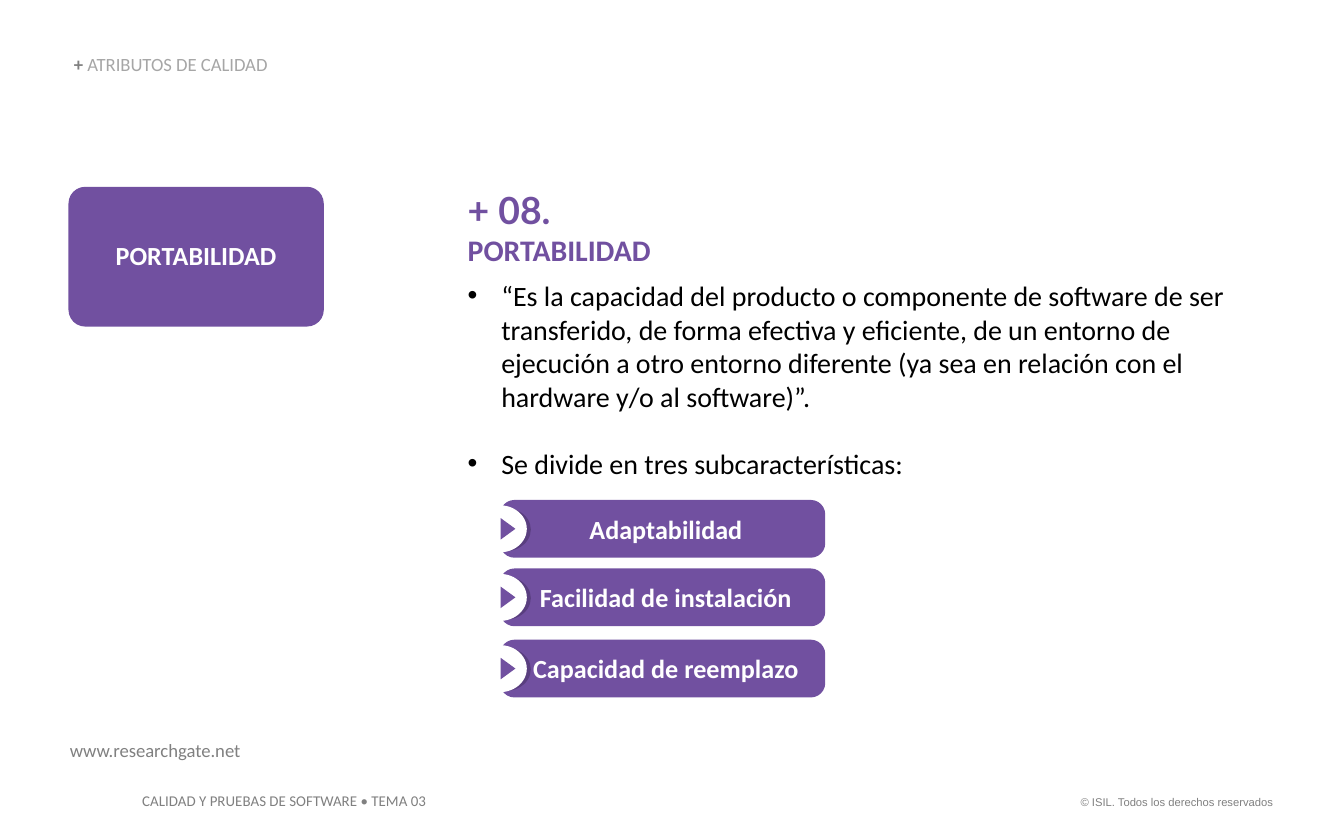
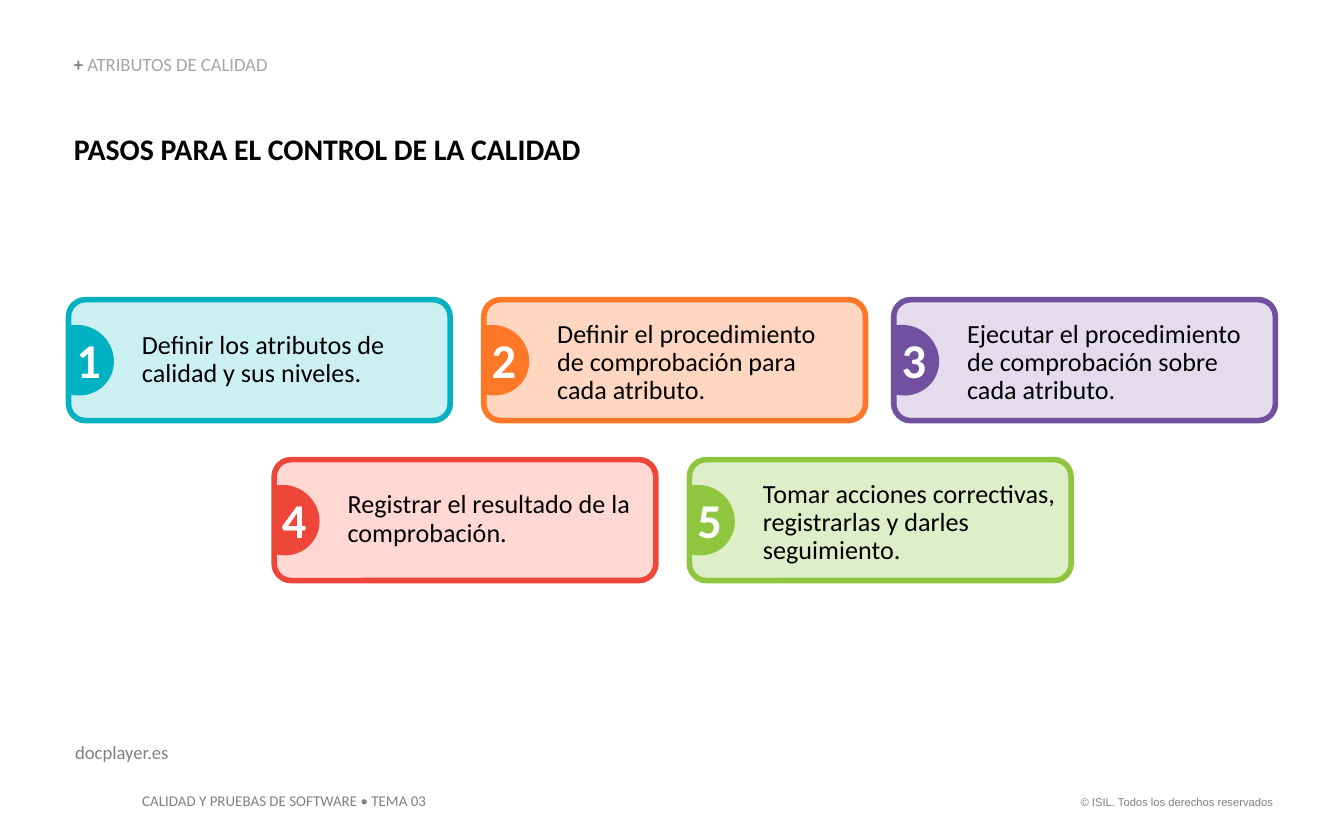
"""Builds two slides on software portability and the steps of quality control."""
from dataclasses import dataclass
from typing import Any, Optional

from lxml.etree import SubElement
from pptx import Presentation
from pptx.dml.color import RGBColor
from pptx.enum.shapes import MSO_SHAPE
from pptx.enum.text import MSO_ANCHOR, MSO_AUTO_SIZE, PP_ALIGN
from pptx.oxml.ns import qn
from pptx.util import Pt

SCALE = 9144
ROUND, OVAL = MSO_SHAPE.ROUNDED_RECTANGLE, MSO_SHAPE.OVAL
WEDGE, CHORD = MSO_SHAPE.ISOSCELES_TRIANGLE, MSO_SHAPE.CHORD
TOP, MIDDLE, BOTTOM = MSO_ANCHOR.TOP, MSO_ANCHOR.MIDDLE, MSO_ANCHOR.BOTTOM
LEFT, CENTER, RIGHT = PP_ALIGN.LEFT, PP_ALIGN.CENTER, PP_ALIGN.RIGHT
FIT = MSO_AUTO_SIZE.SHAPE_TO_FIT_TEXT


@dataclass(frozen=True)
class Theme:
    font: str = "Calibri"
    accent: str = "Lato"
    legal: str = "Arial"
    white: str = "FFFFFF"
    black: str = "000000"
    gray: str = "808080"
    pale: str = "A6A6A6"
    purple: str = "7150A0"
    shade: str = "593E7F"
    tiny: int = 6
    foot: int = 8
    small: int = 10
    label: int = 14
    body: int = 15
    title: int = 16
    head: int = 20
    digit: int = 26


@dataclass(frozen=True)
class Box:
    x: int
    y: int
    w: int
    h: int


@dataclass(frozen=True)
class Pill:
    y: int
    text: str


@dataclass(frozen=True)
class Card:
    x: int
    y: int
    pad: int
    fill: str
    edge: str
    text: str


LOOK = Theme()
NONE = (0, 0, 0, 0)
INSET = (10, 5, 10, 5)

PILLS = (
    Pill(372, "Adaptabilidad"),
    Pill(423, "Facilidad de instalación"),
    Pill(476, "Capacidad de reemplazo"),
)

CARDS = (
    Card(51, 223, 20, "CCEFF2", "00B1C2", "Definir los atributos de calidad y sus niveles."),
    Card(360, 223, 12, "FFD7C1", "FE7828",
         "Definir el procedimiento\nde comprobación para\ncada atributo."),
    Card(665, 223, 12, "E3DCED", LOOK.purple,
         "Ejecutar el procedimiento de comprobación sobre cada atributo."),
    Card(204, 342, 20, "FFD8D4", "EE4639", "Registrar el resultado de la comprobación."),
    Card(513, 342, 12, "DDEEC8", "8FC53F",
         "Tomar acciones correctivas, registrarlas y darles seguimiento."),
)


def px(count: int) -> int:
    """Turn px into EMU."""
    return count * SCALE


def rgb(code: str) -> RGBColor:
    """Turn a hex code into a colour."""
    return RGBColor.from_string(code)


def setup(item: Any, pad: tuple, anchor: Any, wrap: bool = True) -> None:
    """Set the insets, anchor and wrapping of a text frame."""
    frame = item.text_frame
    frame.margin_left, frame.margin_top, frame.margin_right, frame.margin_bottom = map(px, pad)
    frame.vertical_anchor = anchor
    frame.word_wrap = wrap


def note(shapes: Any, box: Box, pad: tuple = NONE, anchor: Any = TOP, wrap: bool = True) -> Any:
    """Add an empty text box that grows with its text."""
    item = shapes.add_textbox(px(box.x), px(box.y), px(box.w), px(box.h))
    setup(item, pad, anchor, wrap)
    item.text_frame.auto_size = FIT
    return item


def form(shapes: Any, kind: Any, box: Box, fill: str, edge: Optional[str] = None,
         turn: int = 0, adjust: tuple = ()) -> Any:
    """Add a flat preset shape."""
    item = shapes.add_shape(kind, px(box.x), px(box.y), px(box.w), px(box.h))
    item.shadow.inherit = False
    item.fill.solid()
    item.fill.fore_color.rgb = rgb(fill)
    if edge:
        item.line.color.rgb = rgb(edge)
        item.line.width = Pt(3)
    else:
        item.line.fill.background()
    item.rotation = turn
    for index, value in enumerate(adjust):
        item.adjustments[index] = value
    return item


def say(item: Any, text: str, *, size: int, color: str, bold: bool = False,
        font: str = LOOK.font, align: Any = LEFT, line: Optional[float] = None,
        before: int = 0, after: int = 0, indent: int = 0, bullet: bool = False,
        more: bool = False) -> None:
    """Write a paragraph, or continue the last one, with the given format."""
    frame = item.text_frame
    para = frame.paragraphs[-1]
    if not more:
        if para.runs:
            para = frame.add_paragraph()
        props = para._p.get_or_add_pPr()
        if indent:
            props.set("marL", str(px(indent)))
        if bullet:
            props.set("indent", str(-px(indent)))
            tint = SubElement(props, qn("a:buClr"))
            SubElement(tint, qn("a:srgbClr"), val=color)
            SubElement(props, qn("a:buFont"), typeface=LOOK.legal)
            SubElement(props, qn("a:buChar"), char="•")
        para.alignment = align
        para.space_after = Pt(after)
        if before:
            para.space_before = Pt(before)
        if line:
            para.line_spacing = line
    for index, part in enumerate(text.split("\n")):
        if index:
            para.add_line_break()
            SubElement(para._p[-1], qn("a:rPr"), sz=str(size * 100))
        if part:
            run = para.add_run()
            run.text = part
            run.font.size = Pt(size)
            run.font.name = font
            run.font.bold = bold
            run.font.color.rgb = rgb(color)


def base(deck: Any, source: str, spot: Box) -> Any:
    """Add a slide with the shared header and footers, and return its shapes."""
    shapes = deck.slides.add_slide(deck.slide_layouts[6]).shapes
    legal = note(shapes, Box(788, 587, 169, 20), INSET, wrap=False)
    say(legal, "© ISIL. Todos los derechos reservados", size=LOOK.tiny,
        color=LOOK.gray, font=LOOK.legal, align=RIGHT)
    course = note(shapes, Box(96, 584, 237, 24), INSET, wrap=False)
    say(course, "CALIDAD Y PRUEBAS DE SOFTWARE • TEMA 03", size=LOOK.foot, color=LOOK.gray)
    say(note(shapes, spot), source, size=LOOK.small, color=LOOK.gray)
    header = note(shapes, Box(55, 41, 361, 15), anchor=BOTTOM)
    say(header, "+ ", size=LOOK.small, color=LOOK.gray, bold=True, line=0.9)
    say(header, "ATRIBUTOS DE CALIDAD", size=LOOK.small, color=LOOK.pale, more=True)
    return shapes


def draw_pill(shapes: Any, pill: Pill) -> None:
    """Draw a labelled bar with a round arrow mark."""
    group = shapes.add_group_shape().shapes
    y = pill.y
    bar = form(group, ROUND, Box(372, y, 242, 43), LOOK.purple, adjust=(0.25,))
    setup(bar, INSET, MIDDLE)
    say(bar, pill.text, size=LOOK.label, color=LOOK.white, bold=True, align=CENTER,
        line=1.0, indent=5)
    form(group, OVAL, Box(358, y + 6, 37, 32), LOOK.shade)
    form(group, OVAL, Box(352, y + 4, 40, 35), LOOK.white)
    form(group, WEDGE, Box(370, y + 16, 16, 11), LOOK.purple, turn=90)


def draw_card(shapes: Any, card: Card, count: int) -> None:
    """Draw a step card with its number badge."""
    x, y = card.x, card.y
    panel = form(shapes, ROUND, Box(x, y, 284, 90), card.fill, card.edge, adjust=(0.14,))
    setup(panel, (51, card.pad, 4, 5), TOP)
    say(panel, card.text, size=LOOK.label, color=LOOK.black, line=0.9)
    group = shapes.add_group_shape().shapes
    form(group, CHORD, Box(x - 20, y + 19, 54, 52), card.edge, turn=210, adjust=(27, 152.33))
    badge = note(group, Box(x - 4, y + 18, 30, 54), INSET)
    say(badge, str(count), size=LOOK.digit, color=LOOK.white, bold=True)


def quality(deck: Any) -> None:
    """Build the portability slide."""
    shapes = base(deck, "www.researchgate.net", Box(52, 550, 326, 17))
    body = note(shapes, Box(348, 139, 601, 220))
    say(body, "+ 08.\n", size=LOOK.head, color=LOOK.purple, bold=True,
        font=LOOK.accent, after=6)
    say(body, "PORTABILIDAD", size=LOOK.title, color=LOOK.purple, bold=True, more=True)
    say(body, "“Es la capacidad del producto o componente de software de ser transferido, "
        "de forma efectiva y eficiente, de un entorno de ejecución a otro entorno diferente "
        "(ya sea en relación con el hardware y/o al software)”.",
        size=LOOK.body, color=LOOK.black, indent=25, bullet=True)
    say(body, "Se divide en tres subcaracterísticas:", size=LOOK.body, color=LOOK.black,
        indent=25, bullet=True, before=18)
    tile = form(shapes, ROUND, Box(51, 139, 190, 104), LOOK.purple, adjust=(0.12,))
    setup(tile, INSET, MIDDLE)
    say(tile, "PORTABILIDAD", size=LOOK.label, color=LOOK.white, bold=True,
        align=CENTER, line=0.9)
    for pill in PILLS:
        draw_pill(shapes, pill)


def steps(deck: Any) -> None:
    """Build the slide of quality control steps."""
    shapes = base(deck, "docplayer.es", Box(56, 551, 500, 17))
    title = note(shapes, Box(55, 100, 807, 24))
    say(title, "PASOS PARA EL CONTROL DE LA CALIDAD", size=LOOK.title,
        color=LOOK.black, bold=True, line=0.9)
    for count, card in enumerate(CARDS, 1):
        draw_card(shapes, card, count)


def main() -> None:
    """Build and save the deck."""
    deck = Presentation()
    deck.slide_width, deck.slide_height = px(1000), px(625)
    quality(deck)
    steps(deck)
    deck.save("out.pptx")


if __name__ == "__main__":
    main()
